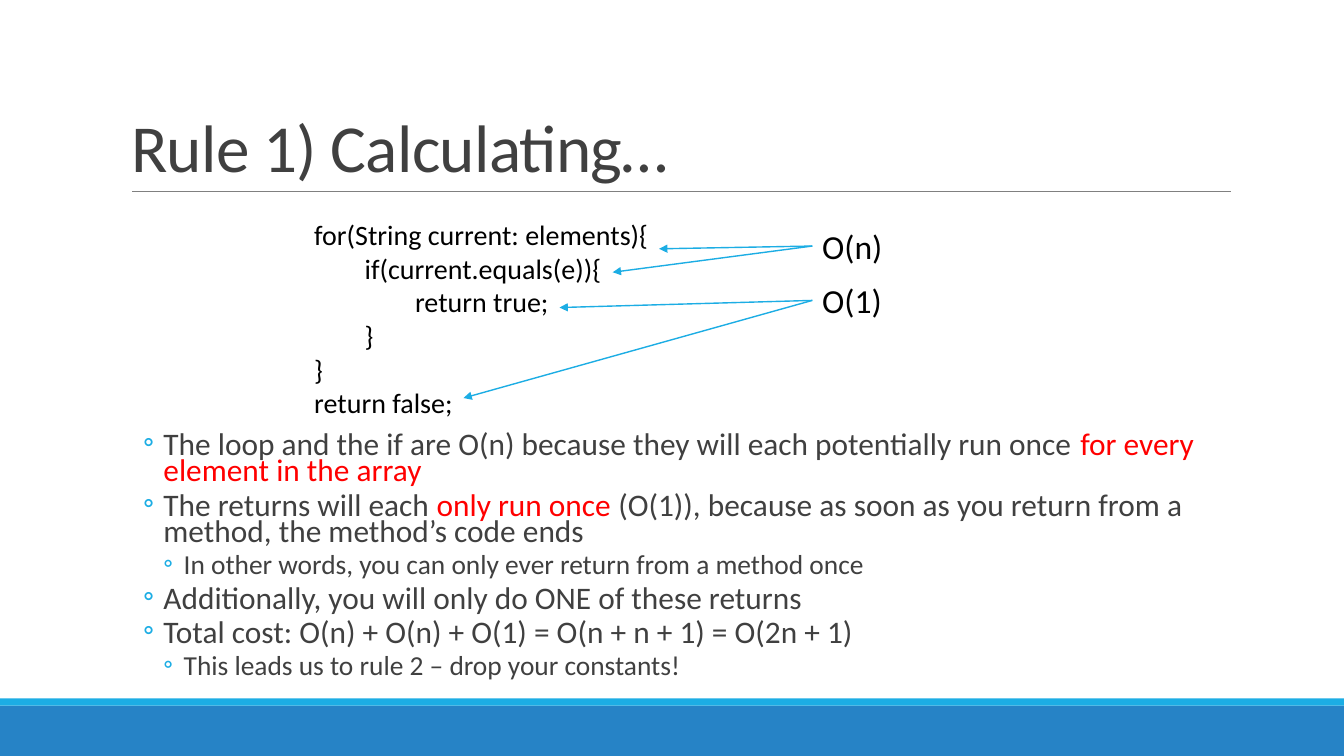
from lxml.etree import SubElement
from pptx import Presentation
from pptx.dml.color import RGBColor
from pptx.enum.shapes import MSO_CONNECTOR, MSO_SHAPE
from pptx.enum.text import MSO_ANCHOR, MSO_AUTO_SIZE, PP_ALIGN
from pptx.oxml.ns import qn
from pptx.util import Cm, Pt

BLUE = RGBColor(0x26, 0x83, 0xC6)
CYAN = RGBColor(0x1C, 0xAD, 0xE4)
GRAY = RGBColor(0x80, 0x80, 0x80)
DARK = RGBColor(0x40, 0x40, 0x40)
RED = RGBColor(0xFF, 0x00, 0x00)
BLACK = RGBColor(0x00, 0x00, 0x00)


def style(run, size, color):
    run.font.name = "Calibri"
    run.font.size = Pt(size)
    run.font.color.rgb = color


def add_line(start, end, color, width):
    line = slide.shapes.add_connector(
        MSO_CONNECTOR.STRAIGHT, *[Cm(v) for v in start + end])
    line.line.color.rgb = color
    line.line.width = Pt(width)
    SubElement(line._element.spPr, qn("a:effectLst"))
    return line


prs = Presentation()
prs.slide_width, prs.slide_height = Cm(33.87), Cm(19.05)
slide = prs.slides.add_slide(prs.slide_layouts[5])

# Footer bands and title rule
for top, height, color in [(17.78, 1.27, BLUE), (17.6, 0.18, CYAN)]:
    band = slide.shapes.add_shape(
        MSO_SHAPE.RECTANGLE, 0, Cm(top), prs.slide_width, Cm(height))
    band.shadow.inherit = False
    band.fill.solid()
    band.fill.fore_color.rgb = color
    band.line.fill.background()
add_line((3.33, 4.83), (31.01, 4.83), GRAY, 0.5)

# Title
title = slide.shapes.title
title.left, title.top, title.width, title.height = Cm(3.05), Cm(0.79), Cm(27.94), Cm(4.04)
title.text_frame.text = "Rule 1) Calculating…"
title.text_frame.vertical_anchor = MSO_ANCHOR.BOTTOM
heading = title.text_frame.paragraphs[0]
heading.alignment = PP_ALIGN.LEFT
heading.line_spacing = 0.85
style(heading.runs[0], 48, DARK)
heading.runs[0].font._element.set("spc", "-50")

# Explanation: level and coloured pieces of each bullet
bullets = [
    (0, [("The loop and the if are O(n) because they will each potentially run once ", DARK),
         ("for every element in the array", RED)]),
    (0, [("The returns will each ", DARK), ("only run once ", RED),
         ("(O(1)), because as soon as you return from a method, the method’s code ends", DARK)]),
    (1, [("In other words, you can only ever return from a method once", DARK)]),
    (0, [("Additionally, you will only do ONE of these returns", DARK)]),
    (0, [("Total cost: O(n) + O(n) + O(1) = O(n + n + 1) = O(2n + 1)", DARK)]),
    (1, [("This leads us to rule 2 – drop your constants!", DARK)]),
]
explanation = slide.shapes.add_textbox(Cm(3.05), Cm(10.82), Cm(27.94), Cm(6.6)).text_frame
explanation.word_wrap = True
explanation.margin_left = explanation.margin_right = 0
for i, (level, pieces) in enumerate(bullets):
    point = explanation.add_paragraph() if i else explanation.paragraphs[0]
    point.level = level
    point.line_spacing = 0.7
    point.space_before, point.space_after = Pt(2), Pt(4)
    for words, color in pieces:
        run = point.add_run()
        run.text = words
        style(run, 19.6 if level else 22.4, color)
    props = point._p.get_or_add_pPr()
    props.set("marL", str(Cm(1.07 + 0.51 * level)))
    props.set("indent", str(Cm(-0.51)))
    bullet_color = SubElement(props, qn("a:buClr"))
    SubElement(bullet_color, qn("a:srgbClr")).set("val", str(CYAN))
    SubElement(props, qn("a:buFont")).set("typeface", "Calibri")
    SubElement(props, qn("a:buChar")).set("char", "◦")

# Code sample and its costs
code = "for(String current: elements){\v\tif(current.equals(e)){\v\t\treturn true;\v\t}\v}\vreturn false;"
labels = [
    (code, 20, (7.67, 5.36, 9.02, 5.38)),
    ("O(n)", 24, (20.47, 5.56, 2.06, 1.27)),
    ("O(1)", 24, (20.47, 6.93, 2.03, 1.27)),
]
for words, size, place in labels:
    label = slide.shapes.add_textbox(*[Cm(v) for v in place]).text_frame
    label.word_wrap = False
    label.auto_size = MSO_AUTO_SIZE.SHAPE_TO_FIT_TEXT
    label.text = words
    for run in label.paragraphs[0].runs:
        style(run, size, BLACK)

# Arrows from each cost to its code lines
arrows = [
    (6.2, [(16.61, 6.27), (15.44, 6.86)]),
    (7.57, [(14.1, 7.75), (11.68, 10.03)]),
]
for cost_y, targets in arrows:
    for target in targets:
        arrow = add_line((20.47, cost_y), target, CYAN, 1)
        SubElement(arrow.line._get_or_add_ln(), qn("a:tailEnd")).set("type", "triangle")

prs.save("out.pptx")
